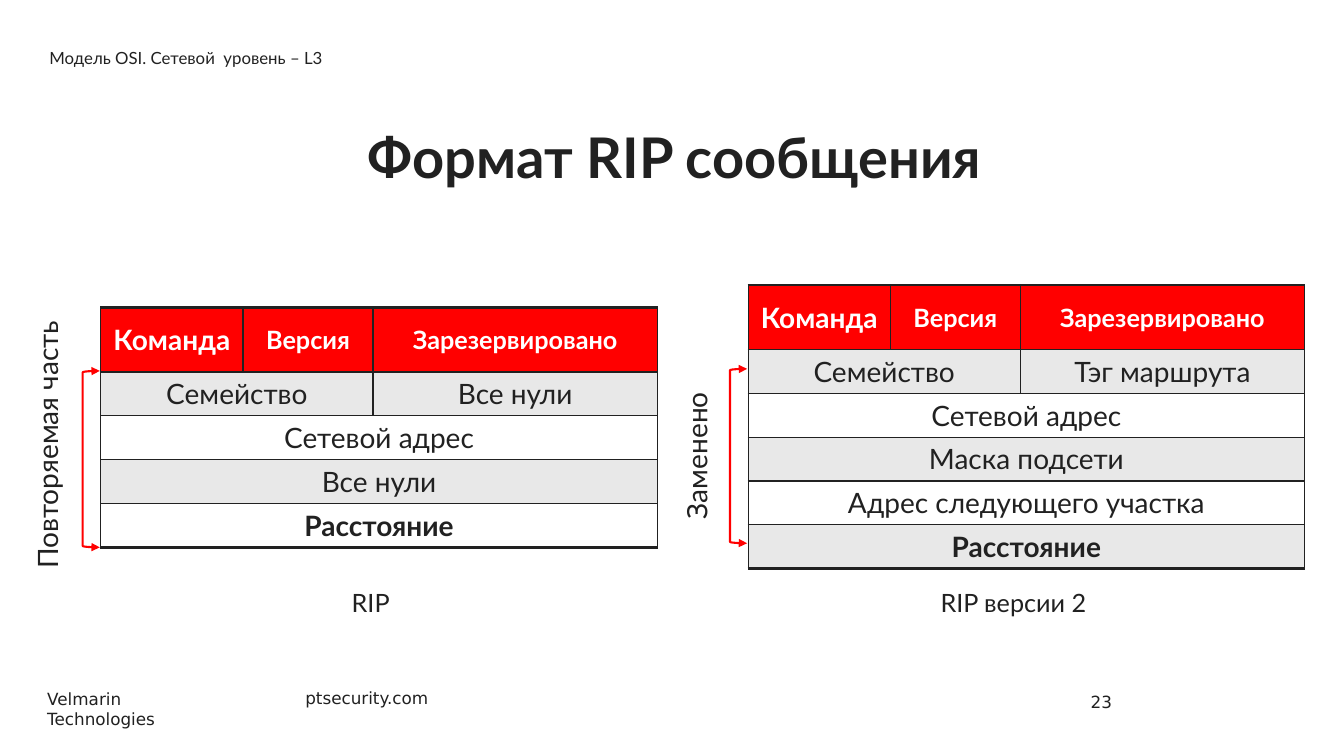
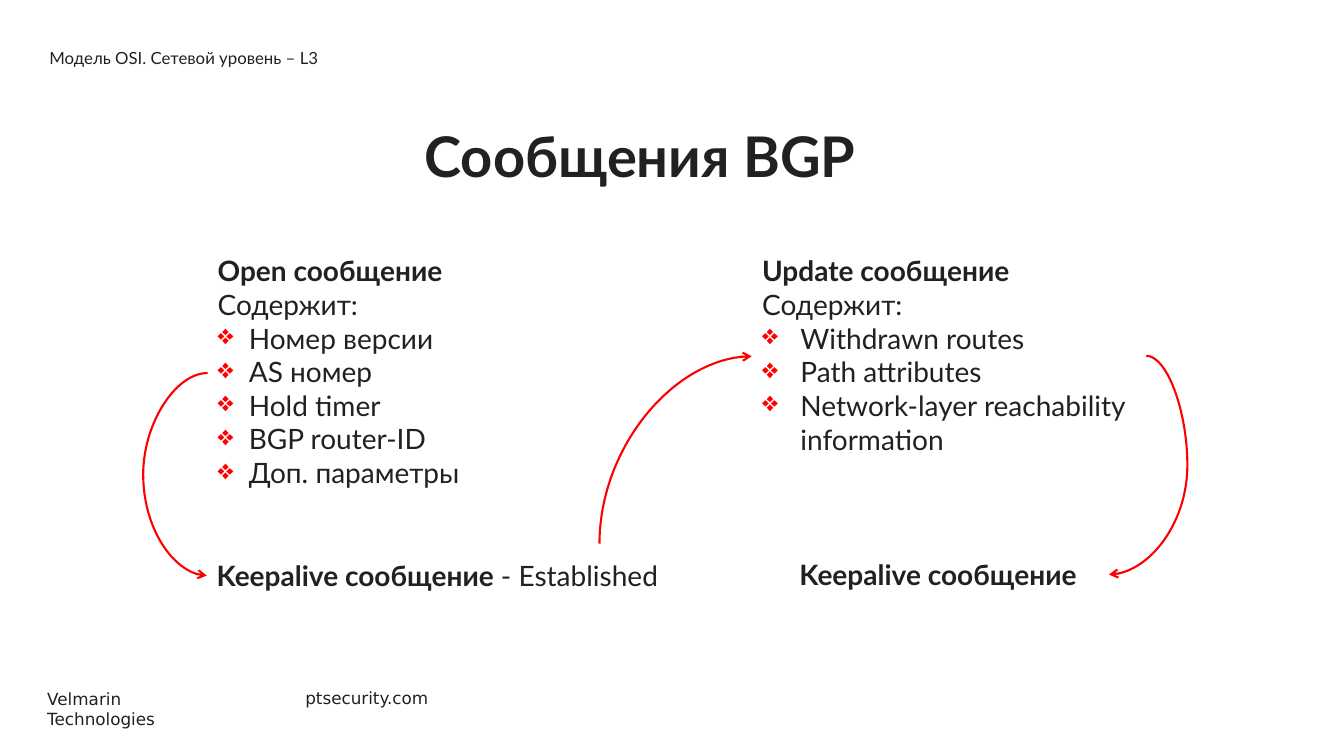
from dataclasses import dataclass

from pptx import Presentation
from pptx.dml.color import RGBColor
from pptx.enum.shapes import MSO_CONNECTOR, MSO_SHAPE
from pptx.enum.text import MSO_ANCHOR, MSO_AUTO_SIZE, PP_ALIGN
from pptx.oxml.ns import qn
from pptx.util import Inches, Pt
from lxml.etree import SubElement


@dataclass(frozen=True)
class Theme:
    ink: str = "212121"
    accent: str = "FF0000"
    white: str = "FFFFFF"
    band: str = "E8E8E8"
    font: str = "Lato"
    footer_font: str = "DejaVu Sans"
    title: int = 40
    text: int = 20
    caption: int = 18
    small: int = 12
    arrow_line: float = 1.5
    thin_line: float = 1
    thick_line: float = 2


THEME = Theme()
SLIDE_SIZE = (13.33, 7.5)
HEADING_AREA = (0.39, 0.37, 10.33, 0.4)
FOOTERS = [
    ("Velmarin Technologies", (0.37, 6.78, 1.98, 0.3)),
    ("ptsecurity.com", (2.93, 6.77, 1.44, 0.3)),
]

COLUMNS = (1.41, 1.29, 2.82)
HEADER_HEIGHT, ROW_HEIGHT = 0.64, 0.43
HEADER = [("Команда", THEME.text), ("Версия", THEME.caption), ("Зарезервировано", THEME.caption)]
DISTANCE = "Расстояние"
FORMATS = [
    {
        "position": (1, 3.05),
        "rows": [["Семейство", "Все нули"], ["Сетевой адрес"], ["Все нули"], [DISTANCE]],
        "bracket": (0.82, 3.68, 0.17, 1.75),
        "label": ("Повторяемая часть", (-1.02, 4.19, 2.98, 0.44)),
        "caption": ("RIP", (3.39, 5.78, 0.71, 0.4)),
    },
    {
        "position": (7.42, 2.83),
        "rows": [["Семейство", "Тэг маршрута"], ["Сетевой адрес"], ["Маска подсети"],
                 ["Адрес следующего участка"], [DISTANCE]],
        "bracket": (7.24, 3.66, 0.17, 1.73),
        "label": ("Заменено", (6.08, 4.3, 1.66, 0.44)),
        "caption": ("RIP версии 2", (9.23, 5.78, 2.05, 0.4)),
    },
]

MESSAGES = [
    ("Open сообщение", (2.06, 2.47, 3.99, 2.46), 0.31,
     ["Номер версии", "AS номер", "Hold timer", "BGP router-ID", "Доп. параметры"]),
    ("Update сообщение", (7.46, 2.47, 3.91, 2.12), 0.38,
     ["Withdrawn routes", "Path attributes", "Network-layer reachability information"]),
]
KEEPALIVES = [
    ([("Keepalive сообщение ", True), ("- Established", False)], (2.05, 5.49, 5.04, 0.44)),
    ([("Keepalive сообщение", True)], (7.83, 5.48, 3.17, 0.44)),
]
CURVES = [
    {"area": (2.05, 3.7, 0.01, 2.01), "rotation": 180, "flips": "v", "bend": 65},
    {"area": (5.77, 3.71, 1.86, 1.51), "rotation": 90, "flips": "hv", "bend": None},
    {"area": (11, 3.53, 0.37, 2.17), "rotation": 0, "flips": "h", "bend": -1.1},
]


def color(value):
    return RGBColor.from_string(value)


def inches(values):
    return [Inches(value) for value in values]


def style(paragraph, size=THEME.text, bold=False, fill=THEME.ink, font=THEME.font):
    for run in paragraph.runs:
        run.font.size = Pt(size)
        run.font.bold = bold
        run.font.name = font
        run.font.color.rgb = color(fill)


def add_text(slide, text, area, size=THEME.text, align=None, wrap=True, font=THEME.font):
    box = slide.shapes.add_textbox(*inches(area))
    frame = box.text_frame
    frame.word_wrap = wrap
    frame.auto_size = MSO_AUTO_SIZE.SHAPE_TO_FIT_TEXT
    frame.text = text
    frame.paragraphs[0].alignment = align
    style(frame.paragraphs[0], size, font=font)
    return box


def fill_placeholder(placeholder, text, area, anchor, size, bold=False):
    placeholder.left, placeholder.top, placeholder.width, placeholder.height = inches(area)
    frame = placeholder.text_frame
    frame.text = text
    frame.auto_size = MSO_AUTO_SIZE.NONE
    frame.vertical_anchor = anchor
    paragraph = frame.paragraphs[0]
    paragraph.space_before = Pt(0)
    style(paragraph, size, bold)
    return paragraph


def add_slide(presentation, heading, title, title_area, align):
    slide = presentation.slides.add_slide(presentation.slide_layouts[1])
    paragraph = fill_placeholder(slide.shapes.title, title, title_area, MSO_ANCHOR.TOP, THEME.title, True)
    paragraph.alignment = align
    paragraph.line_spacing = Pt(48)
    paragraph = fill_placeholder(slide.placeholders[1], heading, HEADING_AREA, MSO_ANCHOR.MIDDLE, THEME.small)
    paragraph.space_after = Pt(12)
    properties = paragraph._p.get_or_add_pPr()
    properties.set("marL", "0")
    properties.set("indent", "0")
    SubElement(properties, qn("a:buNone"))
    return slide


def add_footers(slide):
    for text, area in FOOTERS:
        box = add_text(slide, text, area, THEME.small, wrap=False, font=THEME.footer_font)
        slide.slide_layout.shapes._spTree.append(box._element)


def add_arrowheads(shape, **ends):
    shape.line.color.rgb = color(THEME.accent)
    shape.line.width = Pt(THEME.arrow_line)
    line = shape.line._get_or_add_ln()
    for end, kind in ends.items():
        SubElement(line, qn(f"a:{end}End"), type=kind)


def format_cell(cell, text, fill, top, bottom, size=THEME.text, bold=False, ink=THEME.ink):
    cell.text = text
    cell.vertical_anchor = MSO_ANCHOR.MIDDLE
    paragraph = cell.text_frame.paragraphs[0]
    paragraph.alignment = PP_ALIGN.CENTER
    style(paragraph, size, bold, ink)
    properties = cell._tc.get_or_add_tcPr()
    for side, width in zip("LRTB", (THEME.thin_line, THEME.thin_line, top, bottom)):
        border = SubElement(properties, qn(f"a:ln{side}"), w=str(Pt(width)))
        SubElement(SubElement(border, qn("a:solidFill")), qn("a:srgbClr"), val=THEME.ink)
    cell.fill.solid()
    cell.fill.fore_color.rgb = color(fill)


def add_format_table(slide, position, rows):
    height = HEADER_HEIGHT + ROW_HEIGHT * len(rows)
    table = slide.shapes.add_table(len(rows) + 1, len(COLUMNS),
                                   *inches((*position, sum(COLUMNS), height))).table
    table.horz_banding = False
    for column, width in zip(table.columns, COLUMNS):
        column.width = Inches(width)
    for index, row in enumerate(table.rows):
        row.height = Inches(ROW_HEIGHT if index else HEADER_HEIGHT)
    for column, (text, size) in enumerate(HEADER):
        format_cell(table.cell(0, column), text, THEME.accent, THEME.thick_line, THEME.thin_line,
                    size, True, THEME.white)
    for index, texts in enumerate(rows, 1):
        starts = [0, 2][:len(texts)]
        last_column = 1 if len(texts) == 2 else 2
        table.cell(index, 0).merge(table.cell(index, last_column))
        bottom = THEME.thick_line if index == len(rows) else THEME.thin_line
        for column, text in zip(starts, texts):
            format_cell(table.cell(index, column), text, THEME.band if index % 2 else THEME.white,
                        THEME.thin_line, bottom, bold=text == DISTANCE)


def add_format(slide, position, rows, bracket, label, caption):
    add_format_table(slide, position, rows)
    shape = slide.shapes.add_shape(MSO_SHAPE.LEFT_BRACKET, *inches(bracket))
    shape.shadow.inherit = False
    shape.fill.background()
    add_arrowheads(shape, head="triangle", tail="triangle")
    add_text(slide, *label, align=PP_ALIGN.CENTER).rotation = 270
    add_text(slide, *caption, size=THEME.caption)


def add_message(slide, name, area, indent, items):
    frame = add_text(slide, name, area).text_frame
    style(frame.paragraphs[0], bold=True)
    for index, text in enumerate(["Содержит:", *items]):
        paragraph = frame.add_paragraph()
        paragraph.text = text
        if index:
            properties = paragraph._p.get_or_add_pPr()
            properties.set("marL", str(Inches(indent)))
            properties.set("indent", str(-Inches(indent)))
            SubElement(SubElement(properties, qn("a:buClr")), qn("a:srgbClr"), val=THEME.accent)
            SubElement(properties, qn("a:buChar"), char="❖")
        style(paragraph)


def add_keepalive(slide, parts, area):
    paragraph = add_text(slide, "", area).text_frame.paragraphs[0]
    for text, _ in parts:
        paragraph.add_run().text = text
    style(paragraph)
    for run, (_, bold) in zip(paragraph.runs, parts):
        run.font.bold = bold


def add_curve(slide, area, rotation, flips, bend):
    left, top, width, height = area
    start_x, end_x = (left + width, left) if "h" in flips else (left, left + width)
    start_y, end_y = (top + height, top) if "v" in flips else (top, top + height)
    curve = slide.shapes.add_connector(MSO_CONNECTOR.CURVE, *inches((start_x, start_y, end_x, end_y)))
    properties = curve._element.spPr
    properties.find(qn("a:xfrm")).set("rot", str(rotation * 60000))
    geometry = properties.find(qn("a:prstGeom"))
    if bend is None:
        geometry.set("prst", "curvedConnector2")
    else:
        adjustments = geometry.find(qn("a:avLst"))
        if adjustments is None:
            adjustments = SubElement(geometry, qn("a:avLst"))
        SubElement(adjustments, qn("a:gd"), name="adj1", fmla=f"val {round(bend * 100000)}")
    add_arrowheads(curve, tail="arrow")
    SubElement(properties, qn("a:effectLst"))


def main():
    presentation = Presentation()
    presentation.slide_width, presentation.slide_height = inches(SLIDE_SIZE)

    slide = add_slide(presentation, "Модель OSI. Сетевой  уровень – L3", "Формат RIP сообщения",
                      (1.73, 1.17, 9.92, 1.2), PP_ALIGN.CENTER)
    add_footers(slide)
    number = add_text(slide, "23", (10.72, 6.76, 2.24, 0.4), THEME.small, font=THEME.footer_font)
    number.text_frame.auto_size = MSO_AUTO_SIZE.NONE
    number.text_frame.vertical_anchor = MSO_ANCHOR.MIDDLE
    for message_format in FORMATS:
        add_format(slide, **message_format)

    slide = add_slide(presentation, "Модель OSI. Сетевой уровень – L3", "Сообщения BGP",
                      (4.11, 1.16, 7.03, 1.2), PP_ALIGN.LEFT)
    for message in MESSAGES:
        add_message(slide, *message)
    for keepalive in KEEPALIVES:
        add_keepalive(slide, *keepalive)
    for curve in CURVES:
        add_curve(slide, **curve)

    presentation.save("out.pptx")


if __name__ == "__main__":
    main()
